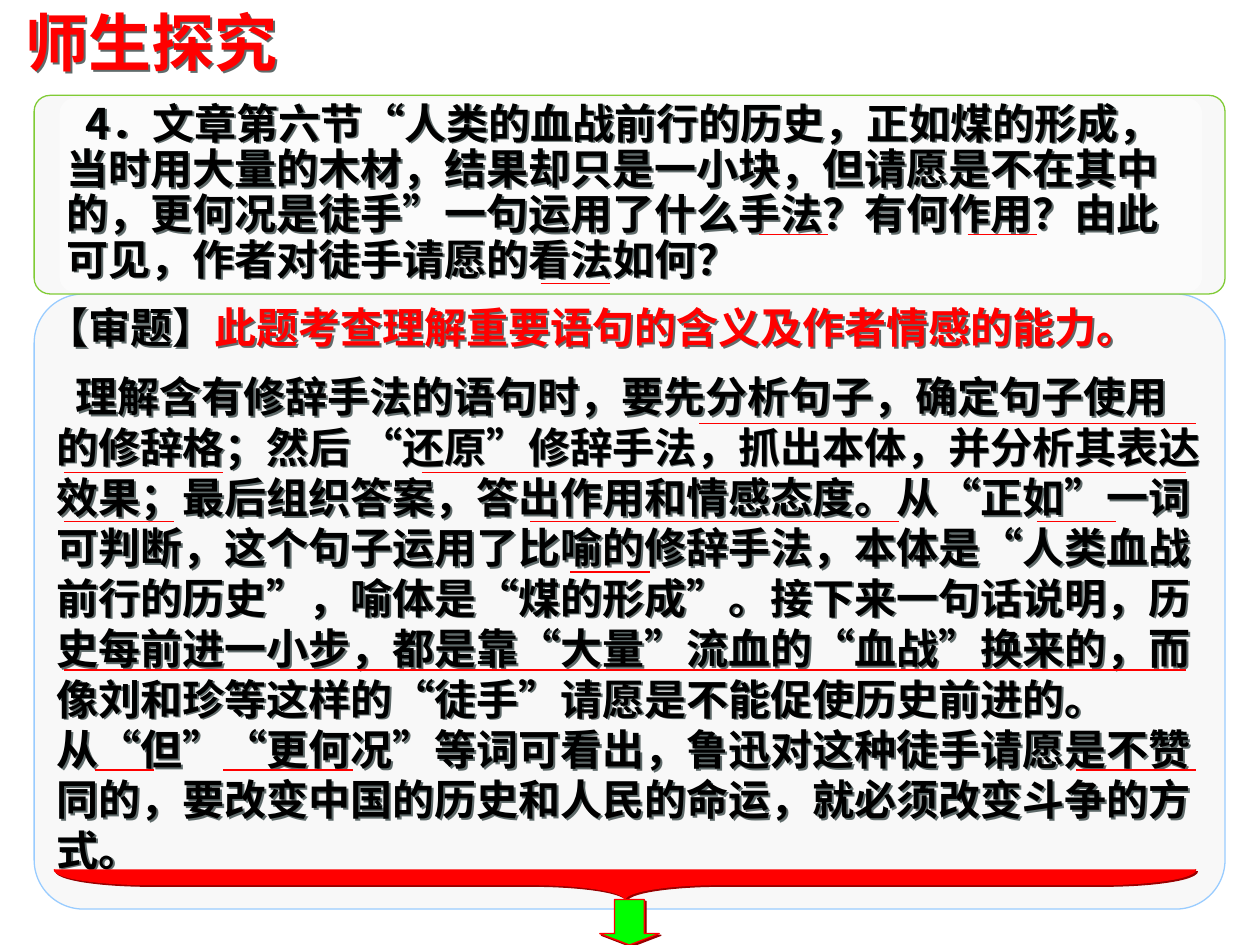
from lxml.etree import SubElement
from pptx import Presentation
from pptx.dml.color import RGBColor
from pptx.enum.shapes import MSO_CONNECTOR, MSO_SHAPE
from pptx.enum.text import MSO_ANCHOR, MSO_AUTO_SIZE, PP_ALIGN
from pptx.oxml.ns import qn
from pptx.util import Pt

CJK_FONT = "Noto Sans CJK SC"
RED = "FF0000"
BLACK = "000000"
PANEL_FILL = "F8F8F8"
FIRST_LINE_INDENT = 11

QUESTION = (
    "4．文章第六节“人类的血战前行的历史，正如煤的形成，当时用大量的木材，"
    "结果却只是一小块，但请愿是不在其中的，更何况是徒手”一句运用了什么手法？"
    "有何作用？由此可见，作者对徒手请愿的看法如何？"
)
ANALYSIS = (
    "理解含有修辞手法的语句时，要先分析句子，确定句子使用的修辞格；然后 “还原”修辞手法，"
    "抓出本体，并分析其表达效果；最后组织答案，答出作用和情感态度。从“正如”一词可判断，"
    "这个句子运用了比喻的修辞手法，本体是“人类血战前行的历史”，喻体是“煤的形成”。"
    "接下来一句话说明，历史每前进一小步，都是靠“大量”流血的“血战”换来的，"
    "而像刘和珍等这样的“徒手”请愿是不能促使历史前进的。\v"
    "从“但”“更何况”等词可看出，鲁迅对这种徒手请愿是不赞同的，"
    "要改变中国的历史和人民的命运，就必须改变斗争的方式。"
)

# Height of each row of underlines, with the start and end of each line
UNDERLINES = {
    134: [(433.5, 473), (553, 592.5)],
    162: [(309, 348.5)],
    242: [(399.5, 683.5)],
    270: [(36.5, 127.5), (241, 677.5)],
    298: [(36.5, 99.5), (303, 513.5), (592.5, 638)],
    327: [(326, 371.5)],
    383: [(36.5, 677.5)],
    440: [(54, 88), (127.5, 201.5), (615, 683.5)],
}


def color(hex_string):
    return RGBColor.from_string(hex_string)


def add_shadow(shape, hex_string):
    """Cast a hard shadow to the lower right; an unfilled shape shades its text."""
    properties = shape._element.spPr
    for effects in properties.findall(qn("a:effectLst")):
        properties.remove(effects)
    effects = SubElement(properties, qn("a:effectLst"))
    shadow = SubElement(effects, qn("a:outerShdw"), dist=str(Pt(1.4)),
                        dir="2700000", algn="ctr", rotWithShape="0")
    SubElement(shadow, qn("a:srgbClr"), val=hex_string)


def add_filled_shape(slide, kind, box, fill, line=None):
    shape = slide.shapes.add_shape(kind, *map(Pt, box))
    shape.shadow.inherit = False
    shape.fill.solid()
    shape.fill.fore_color.rgb = color(fill)
    if line:
        shape.line.color.rgb = color(line)
        shape.line.width = Pt(0.75)
    else:
        shape.line.fill.background()
    return shape


def add_panel(slide, box, fill, line=None):
    panel = add_filled_shape(slide, MSO_SHAPE.ROUNDED_RECTANGLE, box, fill, line)
    panel.adjustments[0] = 0.08
    return panel


def set_opacity(shape, percent):
    fill_color = shape._element.spPr.find(qn("a:solidFill")).find(qn("a:srgbClr"))
    SubElement(fill_color, qn("a:alpha"), val=str(percent * 1000))


def place(shape, box):
    shape.left, shape.top, shape.width, shape.height = map(Pt, box)


def bring_to_front(shape):
    shape._element.getparent().append(shape._element)


def format_text(shape, size, colors, font=CJK_FONT, margins=(7.2, 3.6),
                anchor=MSO_ANCHOR.TOP, spacing=1.2, indent=0):
    """Format the only paragraph; colors holds one colour for each run."""
    frame = shape.text_frame
    frame.word_wrap = True
    frame.auto_size = MSO_AUTO_SIZE.NONE
    frame.vertical_anchor = anchor
    frame.margin_left = frame.margin_right = Pt(margins[0])
    frame.margin_top = frame.margin_bottom = Pt(margins[1])

    paragraph = frame.paragraphs[0]
    properties = paragraph._p.get_or_add_pPr()
    properties.set("marL", "0")
    properties.set("indent", str(Pt(indent)))
    SubElement(properties, qn("a:buNone"))
    paragraph.alignment = PP_ALIGN.LEFT
    paragraph.space_before = Pt(0)
    paragraph.line_spacing = Pt(size * spacing)

    # Runs after a line break keep the last colour
    for number, run in enumerate(paragraph.runs):
        run.font.size = Pt(size)
        run.font.bold = True
        run.font.name = font
        run.font.color.rgb = color(colors[min(number, len(colors) - 1)])
        run_properties = run._r.get_or_add_rPr()
        run_properties.set("lang", "zh-CN")
        SubElement(run_properties, qn("a:ea"), typeface=CJK_FONT)
    add_shadow(shape, "5F6B6B")


def add_text_box(slide, box, runs):
    text_box = slide.shapes.add_textbox(*map(Pt, box))
    paragraph = text_box.text_frame.paragraphs[0]
    for text in runs:
        paragraph.add_run().text = text
    return text_box


def add_underline(slide, start, end, height):
    line = slide.shapes.add_connector(
        MSO_CONNECTOR.STRAIGHT, Pt(start), Pt(height), Pt(end), Pt(height))
    line.line.color.rgb = color(RED)
    line.line.width = Pt(1)
    SubElement(line._element.spPr, qn("a:effectLst"))


def add_brace_and_arrow(slide):
    brace = add_filled_shape(slide, MSO_SHAPE.LEFT_BRACE,
                             (348.5, 179.3, 17.3, 652.3), RED, RED)
    brace.rotation = 270
    brace.adjustments[0] = 3.15
    arrow = add_filled_shape(slide, MSO_SHAPE.DOWN_ARROW,
                             (342.7, 514, 34, 26), "00FF00", RED)
    arrow.adjustments[1] = 0.25
    for shape in (brace, arrow):
        add_shadow(shape, "980000")


def main():
    presentation = Presentation()
    presentation.slide_width = Pt(720)
    presentation.slide_height = Pt(540)
    slide = presentation.slides.add_slide(presentation.slide_layouts[1])

    add_panel(slide, (19.5, 168, 680.5, 351.5), PANEL_FILL, "99CCFF")
    add_panel(slide, (19.5, 54.5, 680.5, 113.5), PANEL_FILL, "80CB35")
    set_opacity(add_panel(slide, (34, 56, 653, 111), "FFFFFF"), 50)

    title, analysis = slide.placeholders
    title.text_frame.text = "师生探究"
    place(title, (14.5, 2, 241, 43.2))
    format_text(title, 36, [RED], font="Arial", margins=(0, 0))
    bring_to_front(title)

    question = add_text_box(slide, (31, 54.7, 657.5, 111), [QUESTION])
    format_text(question, 24, [BLACK], anchor=MSO_ANCHOR.MIDDLE,
                spacing=1.08, indent=FIRST_LINE_INDENT)

    analysis.text_frame.text = ANALYSIS
    place(analysis, (25.2, 208.2, 669, 295.2))
    format_text(analysis, 24, [BLACK], indent=FIRST_LINE_INDENT)
    bring_to_front(analysis)

    heading = add_text_box(slide, (19.5, 169, 669, 36), [
        "【审题】", "此题考查理解重要语句的含义及作者情感的能力。"])
    format_text(heading, 24, [BLACK, RED], font="Arial")

    for height, spans in UNDERLINES.items():
        for start, end in spans:
            add_underline(slide, start, end, height)
    add_brace_and_arrow(slide)

    presentation.save("out.pptx")


if __name__ == "__main__":
    main()
